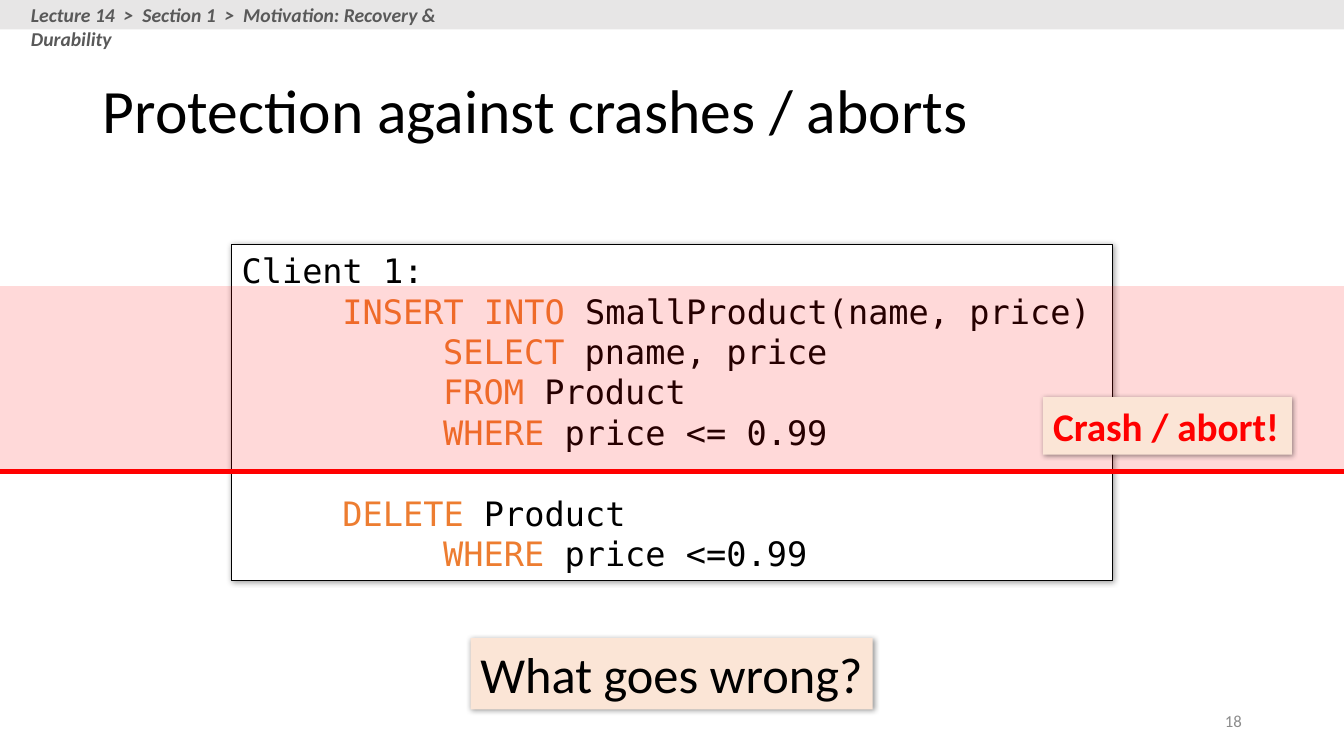
from pptx import Presentation
from pptx.dml.color import RGBColor
from pptx.enum.shapes import MSO_CONNECTOR, MSO_SHAPE
from pptx.enum.text import MSO_ANCHOR as Anchor, PP_ALIGN as Align
from pptx.oxml import parse_xml
from pptx.oxml.ns import qn
from pptx.util import Cm, Pt
from lxml.etree import SubElement

WIDTH, HEIGHT = 33.87, 19.05
NS = 'xmlns:a="http://schemas.openxmlformats.org/drawingml/2006/main"'
BLACK, RED, ORANGE, PEACH = "000000", "FF0000", "ED7D31", "FBE5D6"


def color(hex_code):
    return RGBColor.from_string(hex_code)


class SlideBuilder:
    """Holds the style and the current slide."""
    font, code_font = "Calibri", "DejaVu Sans Mono"
    code_size, code_pitch, code_indent = 24, 28.9, 2.54

    def __init__(self, slide):
        self.slide = slide

    def style(self, paragraph, size, ink=BLACK, bold=False, italic=False, name=None):
        font = paragraph.font
        font.name, font.size = name or self.font, Pt(size)
        font.bold, font.italic = bold, italic
        font.color.rgb = color(ink)

    def set_text(self, shape, text, size, align=Align.LEFT, anchor=Anchor.TOP,
                 wrap=False, **look):
        frame = shape.text_frame
        frame.word_wrap, frame.vertical_anchor = wrap, anchor
        paragraph = frame.paragraphs[0]
        paragraph.text, paragraph.alignment = text, align
        self.style(paragraph, size, **look)

    def title(self, text, box):
        title = self.slide.shapes.title
        title.left, title.top, title.width, title.height = map(Cm, box)
        self.set_text(title, text, 44, anchor=Anchor.MIDDLE, wrap=True)
        title.text_frame.paragraphs[0].line_spacing = 0.9

    def label(self, text, box, size, **look):
        label = self.slide.shapes.add_textbox(*map(Cm, box))
        self.set_text(label, text, size, wrap=True, **look)

    def panel(self, box, fill, line=None, alpha=None, shadow=False):
        panel = self.slide.shapes.add_shape(MSO_SHAPE.RECTANGLE, *map(Cm, box))
        panel.shadow.inherit = False
        panel.fill.solid()
        panel.fill.fore_color.rgb = color(fill)
        if line:
            panel.line.color.rgb, panel.line.width = color(line), Pt(0.75)
        else:
            panel.line.fill.background()
        properties = panel._element.spPr
        if alpha:
            tint = properties.find(qn("a:solidFill"))[0]
            SubElement(tint, qn("a:alpha")).set("val", str(alpha * 1000))
        if shadow:
            properties.find(qn("a:effectLst")).append(parse_xml(
                f'<a:outerShdw {NS} blurRad="{Pt(4)}" dist="{Pt(1)}" dir="2700000" '
                'algn="tl" rotWithShape="0"><a:srgbClr val="000000">'
                '<a:alpha val="40000"/></a:srgbClr></a:outerShdw>'))
        return panel

    def callout(self, text, box, size, **look):
        self.set_text(self.panel(box, PEACH, shadow=True), text, size, **look)

    def code(self, lines, box):
        frame = self.panel(box, "FFFFFF", line=BLACK, shadow=True).text_frame
        frame.word_wrap, frame.vertical_anchor = False, Anchor.TOP
        for number, (depth, keyword, rest, gap) in enumerate(lines):
            paragraph = frame.add_paragraph() if number else frame.paragraphs[0]
            paragraph.alignment = Align.LEFT
            paragraph.line_spacing = Pt(self.code_pitch)
            paragraph.space_before = Pt(gap * self.code_pitch)
            paragraph._p.get_or_add_pPr().set("marL", str(Cm(depth * self.code_indent)))
            self.style(paragraph, self.code_size, name=self.code_font)
            for text, ink in ((keyword, ORANGE), (rest, BLACK)):
                if text:
                    run = paragraph.add_run()
                    run.text, run.font.color.rgb = text, color(ink)

    def rule(self, y, ink, width):
        rule = self.slide.shapes.add_connector(
            MSO_CONNECTOR.STRAIGHT, 0, Cm(y), Cm(WIDTH), Cm(y))
        rule.line.color.rgb, rule.line.width = color(ink), Pt(width)
        SubElement(rule._element.spPr, qn("a:effectLst"))


deck = Presentation()
deck.slide_width, deck.slide_height = Cm(WIDTH), Cm(HEIGHT)
builder = SlideBuilder(deck.slides.add_slide(deck.slide_layouts[5]))

# Title and page number
builder.label("18", (23.93, 17.65, 7.62, 1.02), 12, ink="8C8C8C",
              align=Align.RIGHT, anchor=Anchor.MIDDLE)
builder.title("Protection against crashes / aborts", (2.34, 1.02, 29.21, 3.68))

# Client program: indent depth, keyword, rest, blank lines before
program = [
    (0, "", "Client 1:", 0),
    (1, "INSERT INTO", " SmallProduct(name, price)", 0),
    (2, "SELECT", " pname, price", 0),
    (2, "FROM", " Product", 0),
    (2, "WHERE", " price <= 0.99", 0),
    (1, "DELETE", " Product", 1),
    (2, "WHERE", " price <=0.99", 0),
]
builder.code(program, (5.84, 6.17, 22.2, 8.46))
builder.callout("What goes wrong?", (11.86, 16.08, 10.13, 1.8), 36,
                align=Align.CENTER, anchor=Anchor.MIDDLE)

# Crash point and the statements before it
crash_y, lost_height = 11.89, 4.68
builder.rule(crash_y, RED, 3.5)
builder.panel((0, crash_y - lost_height, WIDTH, lost_height), RED, alpha=15)
builder.callout("Crash / abort!", (26.29, 10.01, 6.27, 1.45), 28, ink=RED, bold=True)

# Breadcrumb header
builder.panel((0, 0, WIDTH, 0.74), "E7E6E6")
builder.label("Lecture 14  >  Section 1  >  Motivation: Recovery & Durability",
              (0.53, -0.05, 12.2, 0.86), 14, ink="595959", bold=True, italic=True)

deck.save("out.pptx")
